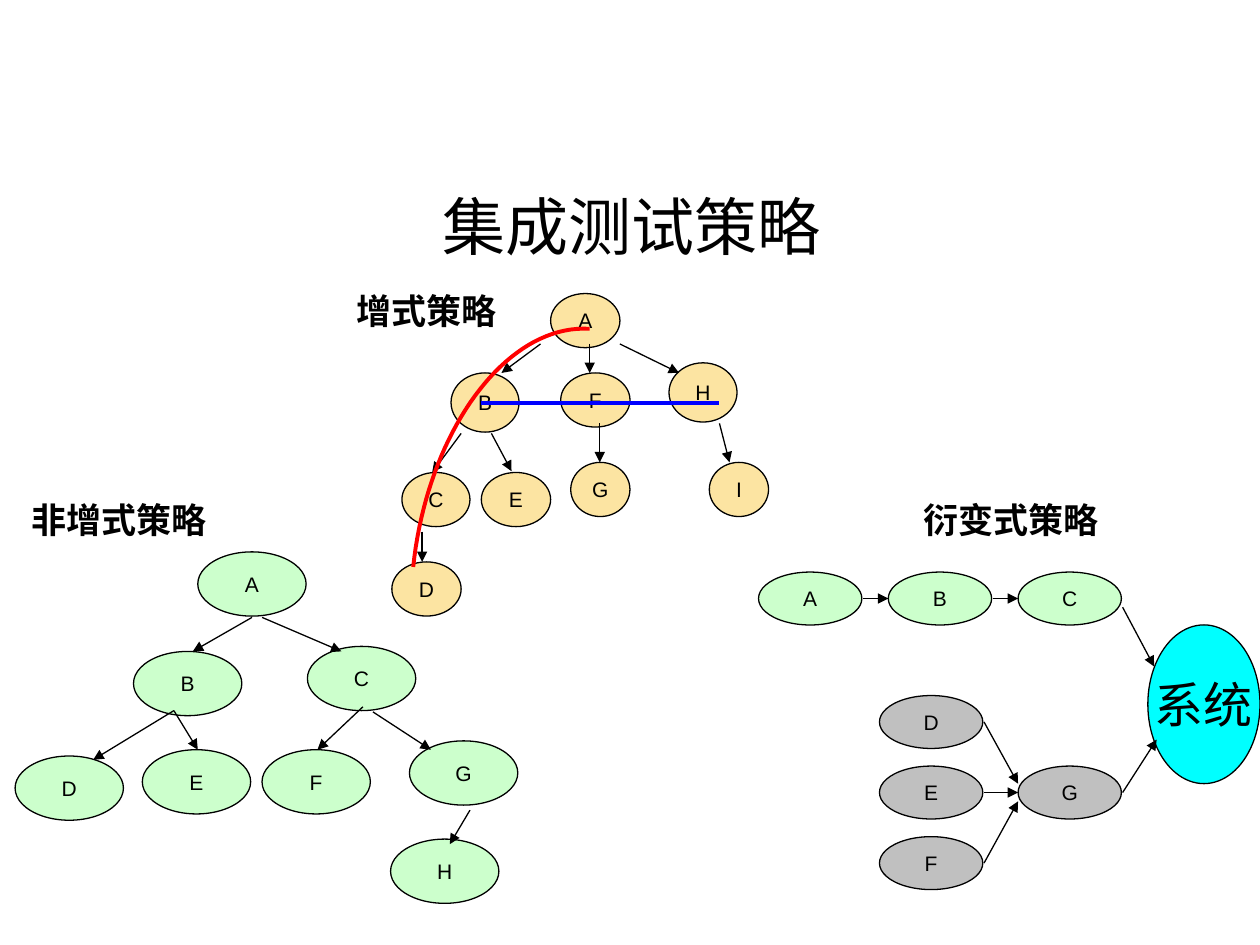
from lxml.etree import SubElement
from pptx import Presentation
from pptx.dml.color import RGBColor
from pptx.enum.shapes import MSO_CONNECTOR as CONN, MSO_SHAPE as SHAPE
from pptx.enum.text import MSO_ANCHOR as ANCHOR, MSO_AUTO_SIZE as AUTO, PP_ALIGN as ALIGN
from pptx.oxml.ns import qn
from pptx.util import Inches, Pt

BLACK, GREEN, GRAY = "000000", "CCFFCC", "C0C0C0"
SAND, CYAN, BLUE, RED = "FCE4A2", "00FFFF", "0000FF", "FF0000"


def rgb(value):
    return RGBColor.from_string(value)


def box(*lengths):
    return [Inches(v) for v in lengths]


def write(tf, text, size=12, bold=False, color=BLACK, anchor=ANCHOR.MIDDLE, wrap=False):
    tf.word_wrap = wrap
    tf.vertical_anchor = anchor
    p = tf.paragraphs[0]
    p.alignment = ALIGN.CENTER
    r = p.add_run()
    r.text = text
    r.font.name, r.font.size, r.font.bold = "Arial", Pt(size), bold
    r.font.color.rgb = rgb(color)


def style_line(line, color=BLACK, width=0.75):
    line.color.rgb = rgb(color)
    line.width = Pt(width)


def add_label(shapes, text, x, y):
    tf = shapes.add_textbox(*box(x, y, 1.65, 0.44)).text_frame
    write(tf, text, size=20, bold=True, anchor=ANCHOR.TOP, wrap=True)
    tf.auto_size = AUTO.SHAPE_TO_FIT_TEXT


def add_node(shapes, text, x, y, w, h, fill, size=12):
    sp = shapes.add_shape(SHAPE.OVAL, *box(x, y, w, h))
    sp.shadow.inherit = False
    sp.fill.solid()
    sp.fill.fore_color.rgb = rgb(fill)
    style_line(sp.line)
    write(sp.text_frame, text, size=size)


def add_line(shapes, x1, y1, x2, y2, color=BLACK, width=0.75, arrow=True):
    cn = shapes.add_connector(CONN.STRAIGHT, *box(x1, y1, x2, y2))
    style_line(cn.line, color, width)
    sp_pr = cn.element.spPr
    if arrow:
        SubElement(sp_pr.find(qn("a:ln")), qn("a:tailEnd"), type="triangle")
    SubElement(sp_pr, qn("a:effectLst"))


def add_curve(shapes, points, color, width, steps=40):
    """Draw an open cubic Bezier curve through short segments."""
    def at(t):
        weights = ((1 - t) ** 3, 3 * t * (1 - t) ** 2, 3 * t * t * (1 - t), t ** 3)
        return box(*(sum(w * p[i] for w, p in zip(weights, points)) for i in (0, 1)))

    start, *rest = [at(i / steps) for i in range(steps + 1)]
    fb = shapes.build_freeform(*start)
    fb.add_line_segments(rest, close=False)
    sp = fb.convert_to_shape()
    sp.shadow.inherit = False
    sp.fill.background()
    style_line(sp.line, color, width)


def draw_evolution(shapes):
    w, h, mid = 0.82, 0.42, 8.08
    # Chain A to C, then inputs D to F joining in G
    for i, name in enumerate("ABC"):
        add_node(shapes, name, 6.02 + 1.03 * i, 4.54, w, h, GREEN)
    for i, name in enumerate("DEF"):
        add_node(shapes, name, 6.98, 5.52 + 0.56 * i, w, h, GRAY)
    add_node(shapes, "G", mid, 6.08, w, h, GRAY)
    add_node(shapes, "系统", 9.11, 4.96, 0.89, 1.26, CYAN, size=28)
    for x in (6.85, 7.88):
        add_line(shapes, x, 4.75, x + 0.2, 4.75)
    for start, end in ((5.73, 6.22), (6.29, 6.29), (6.85, 6.36)):
        add_line(shapes, 7.81, start, mid, end)
    add_line(shapes, 8.91, 6.29, 9.18, 5.87)
    add_line(shapes, 8.91, 4.82, 9.16, 5.29)


def draw_non_incremental(shapes):
    nodes = {"A": (1.57, 4.38), "B": (1.06, 5.17), "C": (2.44, 5.13), "D": (0.12, 6),
             "E": (1.13, 5.95), "F": (2.08, 5.95), "G": (3.25, 5.88), "H": (3.1, 6.66)}
    arrows = [(2, 4.9, 1.53, 5.17), (2.08, 4.9, 2.71, 5.17), (1.38, 5.64, 0.74, 6.03),
              (1.38, 5.64, 1.57, 5.95), (2.88, 5.61, 2.52, 5.95),
              (2.96, 5.65, 3.42, 5.95), (3.73, 6.43, 3.57, 6.7)]
    for name, (x, y) in nodes.items():
        add_node(shapes, name, x, y, 0.86, 0.51, GREEN)
    for ends in arrows:
        add_line(shapes, *ends)


def draw_incremental(shapes):
    nodes = {"A": (4.37, 2.33, 0.55, 0.43), "B": (3.58, 2.96, 0.54, 0.47),
             "F": (4.45, 2.96, 0.55, 0.43), "H": (5.31, 2.88, 0.54, 0.47),
             "C": (3.19, 3.75, 0.54, 0.43), "E": (3.82, 3.75, 0.55, 0.43),
             "G": (4.53, 3.67, 0.47, 0.43), "I": (5.63, 3.67, 0.47, 0.43),
             "D": (3.11, 4.46, 0.55, 0.43)}
    arrows = [(4.29, 2.73, 3.98, 2.96), (4.68, 2.73, 4.68, 2.96), (4.92, 2.73, 5.39, 2.96),
              (3.66, 3.44, 3.43, 3.75), (3.9, 3.44, 4.06, 3.74), (4.76, 3.36, 4.76, 3.67),
              (5.71, 3.36, 5.79, 3.67), (3.35, 4.22, 3.35, 4.46)]
    for name, place in nodes.items():
        add_node(shapes, name, *place, SAND)
    for ends in arrows:
        add_line(shapes, *ends)
    # Breadth-first and depth-first orders
    add_line(shapes, 3.82, 3.2, 5.71, 3.2, color=BLUE, width=2.25, arrow=False)
    add_curve(shapes, [(4.68, 2.61), (4.01, 2.57), (3.39, 3.44), (3.28, 4.5)], RED, 2.25)


def main():
    prs = Presentation()
    prs.slide_width, prs.slide_height = box(10, 7.5)
    s = prs.slides.add_slide(prs.slide_layouts[5])

    # Title
    title = s.shapes.title
    title.left, title.top, title.width, title.height = box(0.51, 1.39, 9, 0.79)
    write(title.text_frame, "集成测试策略", size=36, wrap=True)

    # Headings of the three strategies
    add_label(s.shapes, "增式策略", 2.56, 2.25)
    add_label(s.shapes, "衍变式策略", 7.2, 3.91)
    add_label(s.shapes, "非增式策略", 0.12, 3.91)

    # One group for each diagram
    for draw in (draw_evolution, draw_non_incremental, draw_incremental):
        draw(s.shapes.add_group_shape().shapes)

    prs.save("out.pptx")


if __name__ == "__main__":
    main()
